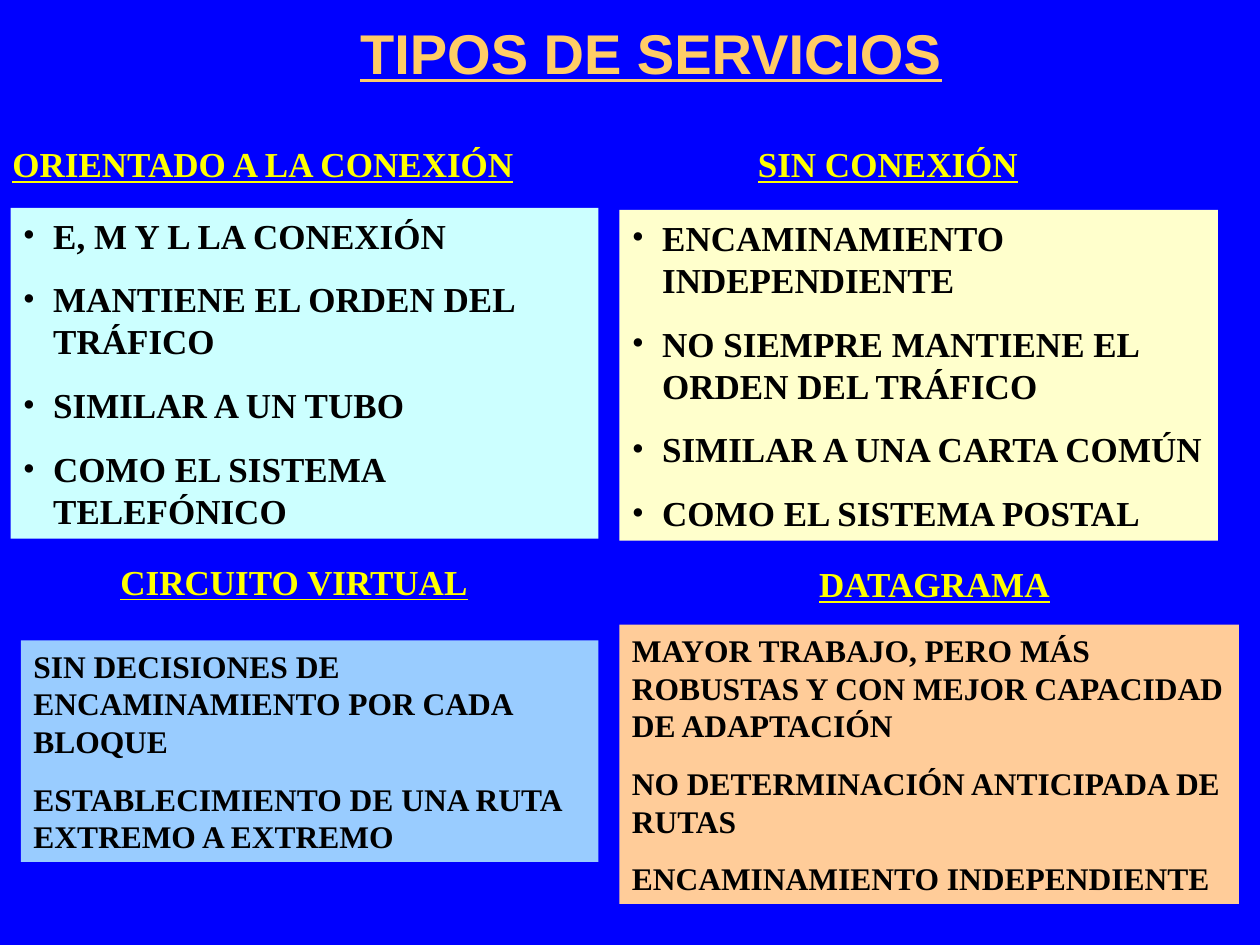
"""Build a slide comparing connection-oriented and connectionless services."""
from dataclasses import dataclass

import pptx
import pptx.dml.color
import pptx.enum.shapes
import pptx.enum.text
import pptx.oxml.ns
import pptx.util
from lxml import etree

ALIGN = pptx.enum.text.PP_ALIGN
ANCHOR = pptx.enum.text.MSO_ANCHOR
UNIT = pptx.util.Inches(1) / 12


@dataclass(frozen=True)
class Style:
    font: str
    size: float
    color: str
    underline: bool = False
    space_before: float = 0


@dataclass(frozen=True)
class Theme:
    background: str = "0000FF"
    title: Style = Style("Arial", 32, "FFCC66", True)
    heading: Style = Style("Times New Roman", 20, "FFFF00", True)
    feature: Style = Style("Times New Roman", 20, "000000", False, 12.5)
    detail: Style = Style("Times New Roman", 18, "000000", False, 11.2)
    connected: str = "CCFFFF"
    connectionless: str = "FFFFCC"
    circuit: str = "99CCFF"
    datagram: str = "FFCC99"
    bullet_indent: float = 0.24


@dataclass(frozen=True)
class Area:
    column: float
    row: float
    columns: float
    rows: float

    def lengths(self) -> list[int]:
        return [round(n * UNIT) for n in (self.column, self.row, self.columns, self.rows)]


@dataclass(frozen=True)
class Panel:
    area: Area
    lines: tuple[str, ...]
    style: Style
    fill: str = ""
    align: ALIGN = ALIGN.LEFT
    bullets: bool = False
    anchor: ANCHOR = ANCHOR.TOP


THEME = Theme()
PANELS = (
    Panel(Area(25, 2, 74, 6), ("TIPOS DE SERVICIOS",), THEME.title,
          align=ALIGN.CENTER, anchor=ANCHOR.MIDDLE),
    Panel(Area(0, 13, 52, 5.25), ("ORIENTADO A LA CONEXIÓN",), THEME.heading),
    Panel(Area(71, 13, 31, 5.25), ("SIN CONEXIÓN",), THEME.heading),
    Panel(Area(1, 19.8, 56, 31.5),
          ("E, M Y L LA CONEXIÓN", "MANTIENE EL ORDEN DEL TRÁFICO",
           "SIMILAR A UN TUBO", "COMO EL SISTEMA TELEFÓNICO"),
          THEME.feature, THEME.connected, bullets=True),
    Panel(Area(59, 20, 57, 31.5),
          ("ENCAMINAMIENTO INDEPENDIENTE", "NO SIEMPRE MANTIENE EL ORDEN DEL TRÁFICO",
           "SIMILAR A UNA CARTA COMÚN", "COMO EL SISTEMA POSTAL"),
          THEME.feature, THEME.connectionless, bullets=True),
    Panel(Area(0, 52.8, 56, 5.25), ("CIRCUITO VIRTUAL",), THEME.heading, align=ALIGN.CENTER),
    Panel(Area(65, 53, 48, 5.25), ("DATAGRAMA",), THEME.heading, align=ALIGN.CENTER),
    Panel(Area(2, 61, 55, 21.1),
          ("SIN DECISIONES DE ENCAMINAMIENTO POR CADA BLOQUE",
           "ESTABLECIMIENTO DE UNA RUTA EXTREMO A EXTREMO"),
          THEME.detail, THEME.circuit),
    Panel(Area(59, 59.5, 59, 26.6),
          ("MAYOR TRABAJO, PERO MÁS ROBUSTAS Y CON MEJOR CAPACIDAD DE ADAPTACIÓN",
           "NO DETERMINACIÓN ANTICIPADA DE RUTAS", "ENCAMINAMIENTO INDEPENDIENTE"),
          THEME.detail, THEME.datagram),
)


def rgb(value: str) -> pptx.dml.color.RGBColor:
    """Return the colour for a hexadecimal value."""
    return pptx.dml.color.RGBColor.from_string(value)


def add_bullet(paragraph, color: str) -> None:
    """Give a paragraph a round bullet with a hanging indent."""
    properties = paragraph._p.get_or_add_pPr()
    indent = pptx.util.Inches(THEME.bullet_indent)
    properties.set("marL", str(indent))
    properties.set("indent", str(-indent))
    name = pptx.oxml.ns.qn
    bullet_color = etree.SubElement(properties, name("a:buClr"))
    etree.SubElement(bullet_color, name("a:srgbClr"), val=color)
    etree.SubElement(properties, name("a:buFont"), typeface="Times New Roman")
    etree.SubElement(properties, name("a:buChar"), char="•")


def format_paragraph(paragraph, panel: Panel, first: bool) -> None:
    """Apply the panel's alignment, spacing, bullet and font."""
    style = panel.style
    paragraph.alignment = panel.align
    if style.space_before and not first:
        paragraph.space_before = pptx.util.Pt(style.space_before)
    if panel.bullets:
        add_bullet(paragraph, style.color)
    for span in paragraph.runs:
        span.font.name = style.font
        span.font.size = pptx.util.Pt(style.size)
        span.font.bold = True
        span.font.underline = style.underline
        span.font.color.rgb = rgb(style.color)


def draw_panel(page, panel: Panel) -> None:
    """Draw a filled rectangle or a plain text box with its lines."""
    if panel.fill:
        box = page.shapes.add_shape(
            pptx.enum.shapes.MSO_SHAPE.RECTANGLE, *panel.area.lengths())
        box.shadow.inherit = False
        box.fill.solid()
        box.fill.fore_color.rgb = rgb(panel.fill)
        box.line.fill.background()
    else:
        box = page.shapes.add_textbox(*panel.area.lengths())
    frame = box.text_frame
    frame.word_wrap = True
    frame.vertical_anchor = panel.anchor
    frame.text = "\n".join(panel.lines)
    for index, paragraph in enumerate(frame.paragraphs):
        format_paragraph(paragraph, panel, index == 0)


def main() -> None:
    """Create the deck and save it."""
    deck = pptx.Presentation()
    deck.slide_width = pptx.util.Inches(10)
    deck.slide_height = pptx.util.Inches(7.5)
    page = deck.slides.add_slide(deck.slide_layouts[6])
    page.background.fill.solid()
    page.background.fill.fore_color.rgb = rgb(THEME.background)
    for panel in PANELS:
        draw_panel(page, panel)
    deck.save("out.pptx")


if __name__ == "__main__":
    main()
